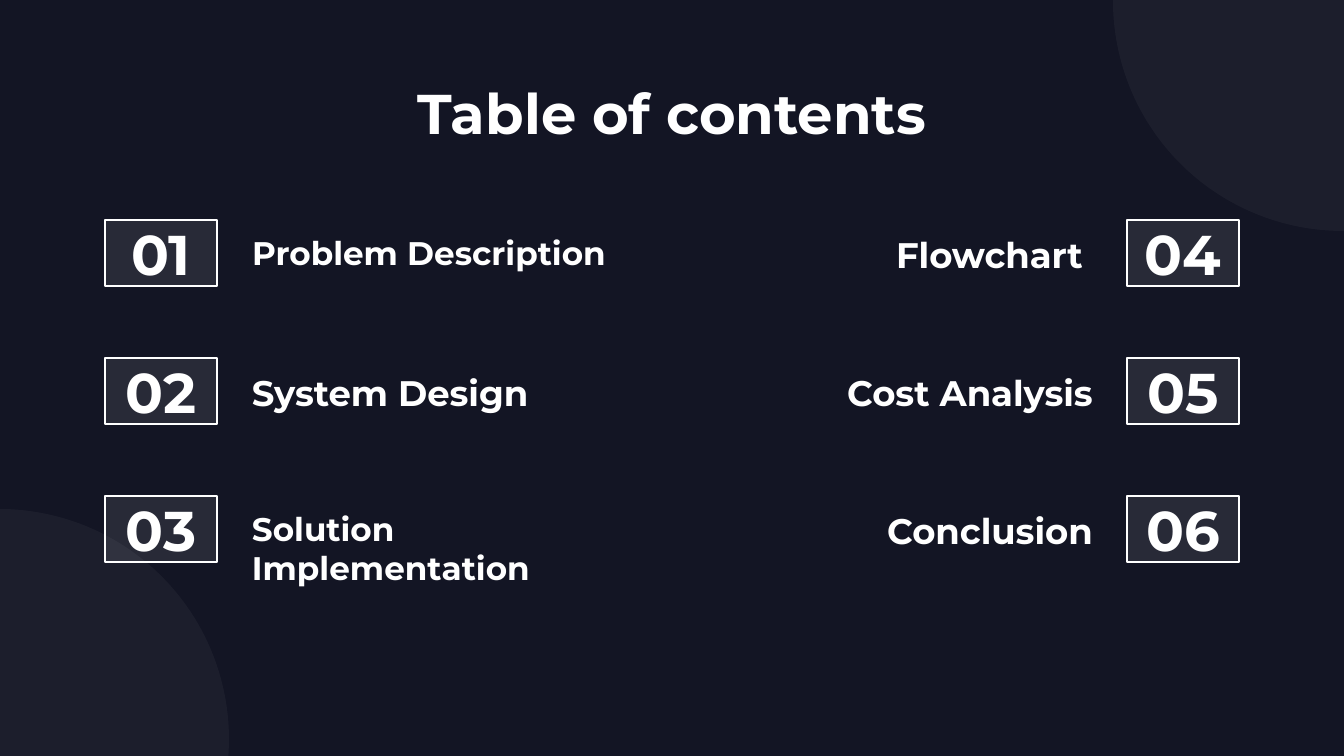
from dataclasses import dataclass

from lxml import etree
from pptx import Presentation
from pptx import util as u
from pptx.dml.color import RGBColor
from pptx.enum import shapes, text
from pptx.oxml.ns import qn

EMU_PER_PX = 914400 / 134.4
WHITE, NAVY = "FFFFFF", "131524"
FONT = "Montserrat"
INSET = 13
BOX_W, BOX_H = 112, 66
ROW_TOP, ROW_STEP = 220, 138
LEFT_BOX, RIGHT_BOX = 105, 1127
LEFT_LABEL, RIGHT_LABEL = 239, 708


@dataclass
class Entry:
    label: str
    size: float = 19
    width: int = 398


ENTRIES = [
    Entry("Problem Description", 17.5, 413),
    Entry("System Design"),
    Entry("Solution Implementation", 17.5, 445),
    Entry("Flowchart "),
    Entry("Cost Analysis"),
    Entry("Conclusion"),
]


def px(n: int) -> u.Emu:
    return u.Emu(round(n * EMU_PER_PX))


def rgb(color: str) -> RGBColor:
    return RGBColor.from_string(color)


def write(sp, content: str, size: float, align, anchor=text.MSO_ANCHOR.TOP) -> None:
    tf = sp.text_frame
    tf.word_wrap = True
    tf.auto_size = text.MSO_AUTO_SIZE.NONE
    tf.vertical_anchor = anchor
    tf.margin_left = tf.margin_right = px(INSET)
    tf.margin_top = tf.margin_bottom = px(INSET)
    tf.text = content
    p = tf.paragraphs[0]
    p.alignment = align
    p.font.name = FONT
    p.font.size = u.Pt(size)
    p.font.bold = True
    p.font.color.rgb = rgb(WHITE)


def add_tinted(s, kind, x: int, y: int, w: int, h: int, opacity: int):
    """Add a borderless white shape with the given opacity in percent."""
    sp = s.shapes.add_shape(kind, px(x), px(y), px(w), px(h))
    sp.shadow.inherit = False
    sp.fill.solid()
    sp.fill.fore_color.rgb = rgb(WHITE)
    color = sp.fill._xPr.find(qn("a:solidFill")).find(qn("a:srgbClr"))
    etree.SubElement(color, qn("a:alpha"), val=str(opacity * 1000))
    sp.line.fill.background()
    return sp


def add_number(s, number: int, x: int, y: int) -> None:
    sp = add_tinted(s, shapes.MSO_SHAPE.RECTANGLE, x, y, BOX_W, BOX_H, 9)
    sp.line.color.rgb = rgb(WHITE)
    sp.line.width = u.Pt(0.75)
    write(sp, f"{number:02}", 30, text.PP_ALIGN.CENTER, text.MSO_ANCHOR.MIDDLE)


def add_entry(s, index: int, entry: Entry) -> None:
    column, row = divmod(index, 3)
    y = ROW_TOP + row * ROW_STEP
    add_number(s, index + 1, (LEFT_BOX, RIGHT_BOX)[column], y)
    x = (LEFT_LABEL, RIGHT_LABEL)[column]
    sp = s.shapes.add_textbox(px(x), px(y), px(entry.width), px(BOX_H))
    align = (text.PP_ALIGN.LEFT, text.PP_ALIGN.RIGHT)[column]
    write(sp, entry.label, entry.size, align)


def main() -> None:
    prs = Presentation()
    prs.slide_width, prs.slide_height = px(1344), px(756)
    s = prs.slides.add_slide(prs.slide_layouts[5])
    s.background.fill.solid()
    s.background.fill.fore_color.rgb = rgb(NAVY)

    for x, y in ((1113, -229), (-231, 509)):
        add_tinted(s, shapes.MSO_SHAPE.OVAL, x, y, 460, 460, 4)

    title = s.shapes.title
    title.left, title.top, title.width, title.height = map(px, (105, 66, 1134, 85))
    write(title, "Table of contents", 30, text.PP_ALIGN.CENTER)

    for index, entry in enumerate(ENTRIES):
        add_entry(s, index, entry)

    prs.save("out.pptx")


if __name__ == "__main__":
    main()
